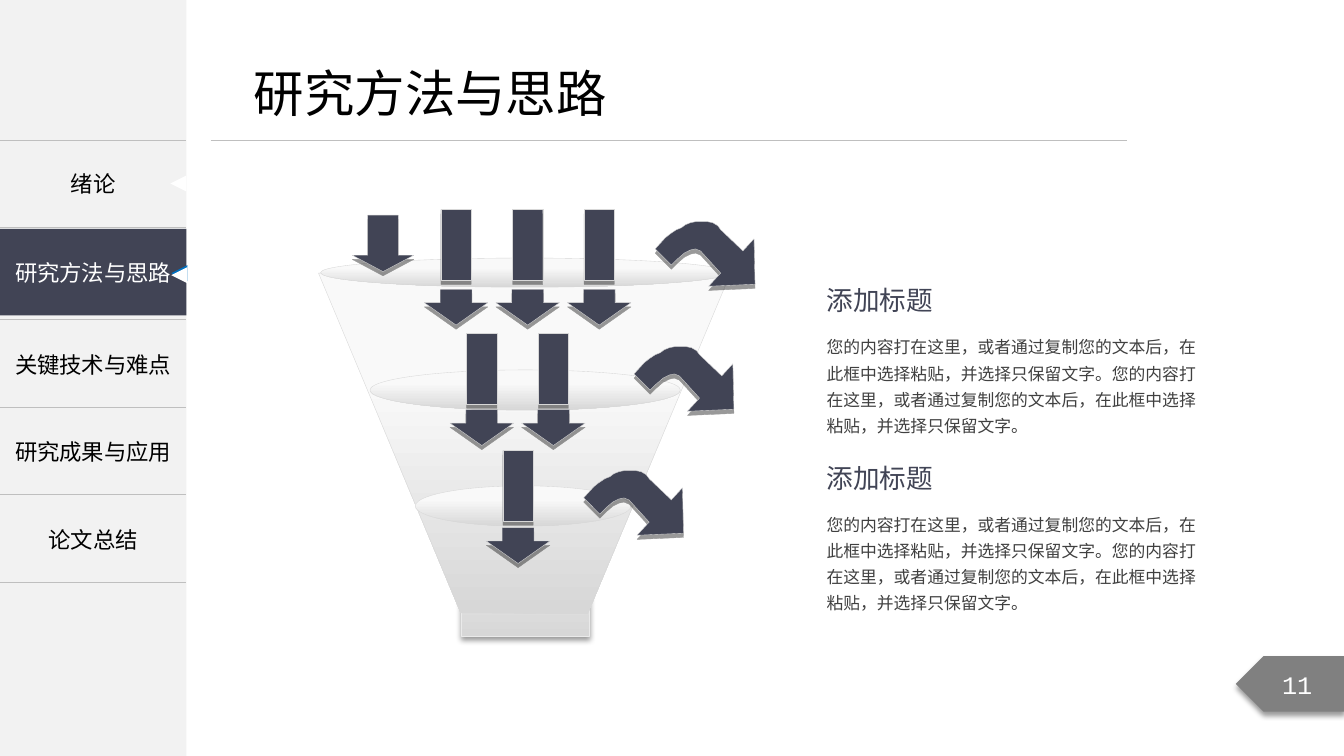
from dataclasses import dataclass

from lxml.etree import SubElement
from pptx import Presentation
from pptx.dml.color import RGBColor
from pptx.enum.shapes import MSO_CONNECTOR, MSO_SHAPE
from pptx.enum.text import MSO_ANCHOR, MSO_AUTO_SIZE, PP_ALIGN
from pptx.oxml.ns import qn
from pptx.util import Inches, Pt


@dataclass(frozen=True)
class Theme:
    sans: str = "Noto Sans CJK SC"
    mono: str = "Courier New"
    ink: str = "000000"
    body_ink: str = "404040"
    white: str = "FFFFFF"
    navy: str = "414455"
    blue: str = "0070C0"
    panel: str = "F2F2F2"
    badge: str = "808080"
    rule: str = "BFBFBF"
    edge: str = "D7D7D7"
    base_edge: str = "EAEAEA"
    glass: tuple = ("F9F9F9", "D7D7D7")
    title_size: float = 36
    heading_size: float = 19
    page_size: float = 18
    menu_size: float = 16
    body_size: float = 12


class Deck:
    """Draws on one slide; a grid column or row is a tenth of an inch."""

    def __init__(self, theme, columns, rows):
        self.theme = theme
        self.prs = Presentation()
        self.prs.slide_width = self.grid(columns)
        self.prs.slide_height = self.grid(rows)
        self.s = self.prs.slides.add_slide(self.prs.slide_layouts[6])

    def grid(self, n):
        return Inches(n / 10)

    def rgb(self, color):
        return RGBColor.from_string(color)

    def paint(self, sp, fill, line=None, shadow_blur=None):
        """Fill is one colour, or a pair for a downward gradient."""
        if isinstance(fill, tuple):
            sp.fill.gradient()
            sp.fill.gradient_angle = 270
            for stop, color, pos in zip(sp.fill.gradient_stops, fill, (0.33, 1)):
                stop.color.rgb = self.rgb(color)
                stop.position = pos
        else:
            sp.fill.solid()
            sp.fill.fore_color.rgb = self.rgb(fill)
        if line:
            sp.line.color.rgb = self.rgb(line)
            sp.line.width = Pt(0.25)
        else:
            sp.line.fill.background()
        sp.shadow.inherit = False
        if shadow_blur is not None:
            effects = sp._element.spPr.find(qn("a:effectLst"))
            shadow = SubElement(effects, qn("a:outerShdw"), blurRad=str(Pt(shadow_blur)),
                                dist=str(Pt(3)), dir="5400000", algn="t", rotWithShape="0")
            color = SubElement(shadow, qn("a:srgbClr"), val=self.theme.ink)
            SubElement(color, qn("a:alpha"), val="40000")
        return sp

    def set_text(self, tf, text, size, color, font=None, align=None, spacing=None):
        tf.text = text
        p = tf.paragraphs[0]
        p.alignment = align
        p.line_spacing = spacing
        r = p.runs[0]
        r.font.size = Pt(size)
        r.font.color.rgb = self.rgb(color)
        r.font.name = font or self.theme.sans
        SubElement(r._r.get_or_add_rPr(), qn("a:ea"), typeface=r.font.name)

    def shape(self, kind, x, y, w, h, fill, line=None, shadow_blur=None):
        sp = self.s.shapes.add_shape(kind, *map(self.grid, (x, y, w, h)))
        return self.paint(sp, fill, line, shadow_blur)

    def label(self, sp, text, size, color, font=None):
        sp.text_frame.word_wrap = True
        sp.text_frame.vertical_anchor = MSO_ANCHOR.MIDDLE
        self.set_text(sp.text_frame, text, size, color, font, PP_ALIGN.CENTER)

    def outline(self, points, fill, line, shadow_blur=None):
        pts = [(self.grid(x), self.grid(y)) for x, y in points]
        builder = self.s.shapes.build_freeform(*pts[0])
        builder.add_line_segments(pts[1:], close=True)
        return self.paint(builder.convert_to_shape(), fill, line, shadow_blur)

    def text(self, x, y, w, h, text, size, color, wrap=True, inset=None, spacing=None):
        sp = self.s.shapes.add_textbox(*map(self.grid, (x, y, w, h)))
        tf = sp.text_frame
        tf.word_wrap = wrap
        tf.auto_size = MSO_AUTO_SIZE.SHAPE_TO_FIT_TEXT
        if inset:
            tf.margin_left = tf.margin_right = self.grid(inset[0])
            tf.margin_top = tf.margin_bottom = self.grid(inset[1])
        self.set_text(tf, text, size, color, spacing=spacing)

    def rule(self, x1, x2, y):
        line = self.s.shapes.add_connector(
            MSO_CONNECTOR.STRAIGHT, *map(self.grid, (x1, y, x2, y)))
        line.line.color.rgb = self.rgb(self.theme.rule)
        line.line.width = Pt(0.5)
        SubElement(line._element.spPr, qn("a:effectLst"))

    def menu(self, x, y, w, heights, labels):
        frame = self.s.shapes.add_table(
            len(heights), 1, *map(self.grid, (x, y, w, sum(heights))))
        table = frame.table
        table.first_row = table.horz_banding = False
        for row, height, label in zip(table.rows, heights, labels):
            row.height = self.grid(height)
            cell = row.cells[0]
            cell.vertical_anchor = MSO_ANCHOR.MIDDLE
            if label:
                self.set_text(cell.text_frame, label, self.theme.menu_size,
                              self.theme.ink, align=PP_ALIGN.CENTER)
            tc_pr = cell._tc.get_or_add_tcPr()
            for side in "LRTB":
                ln = SubElement(tc_pr, qn(f"a:ln{side}"), w=str(Pt(1)))
                if side in "LR":
                    SubElement(ln, qn("a:noFill"))
                else:
                    fill = SubElement(ln, qn("a:solidFill"))
                    SubElement(fill, qn("a:srgbClr"), val=self.theme.rule)
            cell.fill.background()

    def pointer(self, x, y, color):
        self.shape(MSO_SHAPE.ISOSCELES_TRIANGLE, x, y, 1.6, 1.6, color).rotation = 270

    def down_arrow(self, x, y, w, h, head):
        sp = self.shape(MSO_SHAPE.DOWN_ARROW, x, y, w, h, self.theme.navy, self.theme.edge, 0)
        sp.adjustments[0], sp.adjustments[1] = 0.5, head


BODY = "您的内容打在这里，或者通过复制您的文本后，在此框中选择粘贴，并选择只保留文字。" * 2

# Bent arrow outline, from its left and top edges
BENT_ARROW = [
    (9.8, 1.7), (9.9, 6.2), (5.3, 6.4), (6.5, 5.1), (4.5, 2.9), (4, 2.7), (3.5, 2.8),
    (2.9, 3.1), (2.2, 3.7), (1.6, 4.3), (0, 2.7), (1, 1.6), (1.5, 1.2), (2.1, 0.8),
    (2.6, 0.6), (3, 0.3), (3.5, 0.1), (4, 0), (4.6, 0), (5.2, 0), (5.7, 0.1),
    (6.2, 0.4), (6.5, 0.8), (8.7, 2.9)]


def main():
    t = Theme()
    d = Deck(t, 133.33, 75)

    # Side panel, title and page number
    d.shape(MSO_SHAPE.RECTANGLE, 0, 0, 18.5, 75, t.panel)
    d.rule(20.9, 111.8, 13.9)
    d.text(24.2, 5.7, 37.4, 7.1, "研究方法与思路", t.title_size, t.ink, wrap=False)
    badge = d.shape(MSO_SHAPE.PENTAGON, 122.6, 65.1, 10.8, 5.5, t.badge, shadow_blur=4)
    badge._element.spPr.xfrm.set("flipH", "1")
    d.label(badge, "11", t.page_size, t.white, t.mono)

    # Menu, with the current chapter highlighted
    d.menu(0, 13.9, 18.5, [8.7, 9.1, 8.7, 8.7, 8.7],
           ["", "", "关键技术与难点", "研究成果与应用", "论文总结"])
    first = d.s.shapes.add_textbox(*map(d.grid, (0, 13.9, 18.5, 8.6)))
    d.label(first, "绪论", t.menu_size, t.ink)
    d.pointer(16.9, 17.4, t.white)
    current = d.shape(MSO_SHAPE.RECTANGLE, 0, 22.7, 18.5, 8.6, t.navy)
    d.label(current, "研究方法与思路", t.menu_size, t.white)
    d.pointer(17, 26.3, t.blue)
    d.pointer(17, 26.5, t.white)

    # Funnel
    d.shape(MSO_SHAPE.RECTANGLE, 45.8, 45.5, 12.7, 17.6, t.glass, t.base_edge, 4)
    d.outline([(31.6, 27.1), (45.7, 60.8), (58.3, 60.9), (72.4, 27.3)], t.glass, t.edge)
    for ring in [(31.8, 25.6, 40.5, 2.9), (36.7, 36.7, 30.8, 4), (41.2, 48.2, 21.4, 4)]:
        d.shape(MSO_SHAPE.OVAL, *ring, t.glass, t.edge)

    # Arrows leaving the funnel
    for left, top in [(62.9, 34.4), (57.9, 46.7), (65, 22)]:
        d.outline([(left + x, top + y) for x, y in BENT_ARROW], t.navy, t.edge, 0)

    # Arrows falling through it: count, middle, bar top, head top
    for count, middle, bar_top, head_top in [
            (3, 52.35, 20.8, 28.7), (2, 51.35, 33.1, 40.65), (1, 51.4, 44.7, 52.35)]:
        for i in range(count):
            x = middle + 7.1 * (i - (count - 1) / 2)
            d.down_arrow(x - 3.15, head_top, 6.3, 3.55, 0.625)
            d.shape(MSO_SHAPE.RECTANGLE, x - 1.5, bar_top, 3, 7, t.navy, t.edge, 0)
    d.down_arrow(34.95, 21.35, 6.1, 5.6, 0.29)

    # Explanations
    for top in (27.6, 45.2):
        d.text(80.8, top, 39.1, 4.4, "添加标题", t.heading_size, t.navy, inset=(1.2, 0.6))
        d.text(80.8, top + 4.65, 39.1, 11.4, BODY, t.body_size, t.body_ink,
               inset=(1.2, 0.6), spacing=1.3)

    d.prs.save("out.pptx")


if __name__ == "__main__":
    main()
